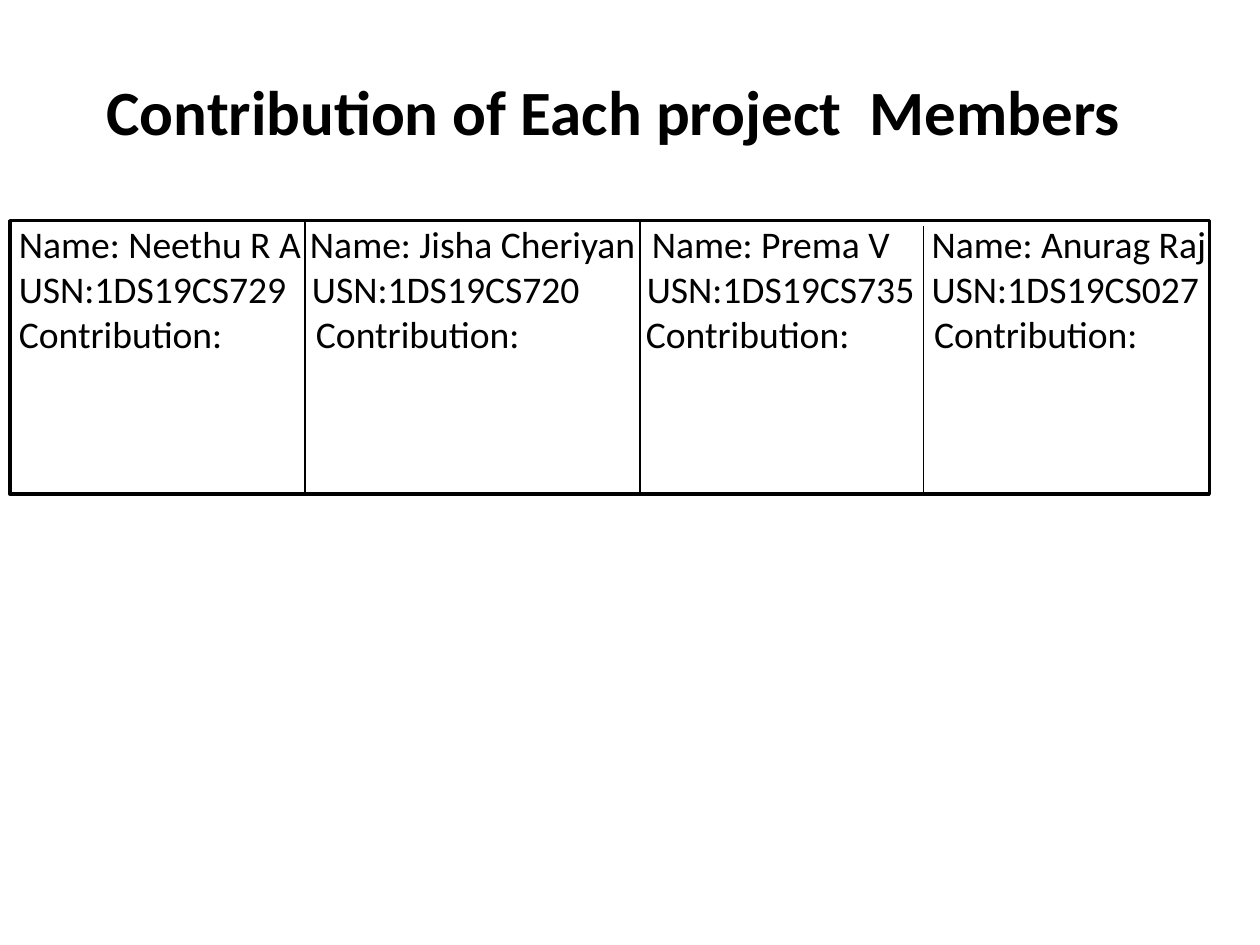
from lxml import etree
from pptx import Presentation, util as u
from pptx.dml.color import RGBColor
from pptx.enum import shapes, text
from pptx.oxml.ns import qn

COLORS = {"ink": "000000", "paper": "FFFFFF"}
INK = RGBColor.from_string(COLORS["ink"])
PAPER = RGBColor.from_string(COLORS["paper"])


def set_type(paragraph, size, bold=False):
    """Give a paragraph its font, size and colour."""
    paragraph.font.name = "Calibri"
    paragraph.font.size = u.Pt(size)
    paragraph.font.bold = bold
    paragraph.font.color.rgb = INK


def add_tab_stops(paragraph, stops):
    properties = paragraph._p.get_or_add_pPr()
    tab_list = etree.Element(qn("a:tabLst"))
    for stop in stops:
        etree.SubElement(tab_list, qn("a:tab"), pos=str(u.Cm(stop)), algn="l")
    # The schema places tab stops before the default run properties
    properties.find(qn("a:defRPr")).addprevious(tab_list)


deck = Presentation()
deck.slide_width, deck.slide_height = u.Cm(25.4), u.Cm(19.05)
slide = deck.slides.add_slide(deck.slide_layouts[6])

# Title
title = slide.shapes.add_textbox(u.Cm(1.9), u.Cm(1.07), u.Cm(20.96), u.Cm(1.78)).text_frame
title.word_wrap = True
title.margin_left = u.Cm(0.25)
title.margin_top = u.Cm(0.25)
title.margin_right = title.margin_bottom = 0
heading = title.paragraphs[0]
heading.text = "Contribution of Each project  Members"
heading.line_spacing = u.Pt(47.3)
heading.space_before = u.Pt(7.5)
set_type(heading, 36, bold=True)

# Framed panel with one column per member
TOP, BOTTOM = 4.45, 9.96
panel = slide.shapes.add_shape(
    shapes.MSO_SHAPE.RECTANGLE, u.Cm(0.2), u.Cm(TOP), u.Cm(24.18), u.Cm(BOTTOM - TOP))
panel.shadow.inherit = False
panel.fill.solid()
panel.fill.fore_color.rgb = PAPER
panel.line.color.rgb = INK
panel.line.width = u.Pt(2)

members = panel.text_frame
members.word_wrap = True
members.vertical_anchor = text.MSO_ANCHOR.TOP
members.margin_left = u.Cm(0.18)
members.margin_top = members.margin_right = members.margin_bottom = 0

rows = [
    (["Name: Neethu R A", "Name: Jisha Cheriyan", "Name: Prema V", "Name: Anurag Raj"],
     [5.87, 12.76, 18.4]),
    (["USN:1DS19CS729", "USN:1DS19CS720", "USN:1DS19CS735", "USN:1DS19CS027"],
     [5.91, 12.66, 18.4]),
    (["Contribution:"] * 4, [5.99, 12.64, 18.45]),
]
for number, (entries, stops) in enumerate(rows):
    row = members.add_paragraph() if number else members.paragraphs[0]
    row.text = "\t".join(entries)
    row.alignment = text.PP_ALIGN.LEFT
    set_type(row, 21.5)
    add_tab_stops(row, stops)

# Column dividers
for x, top in [(6.15, TOP), (12.9, TOP), (18.62, 4.55)]:
    divider = slide.shapes.add_connector(
        shapes.MSO_CONNECTOR.STRAIGHT, u.Cm(x), u.Cm(top), u.Cm(x), u.Cm(BOTTOM))
    divider.line.color.rgb = INK
    divider.line.width = u.Pt(0.75)
    etree.SubElement(divider._element.spPr, qn("a:effectLst"))

deck.save("out.pptx")
